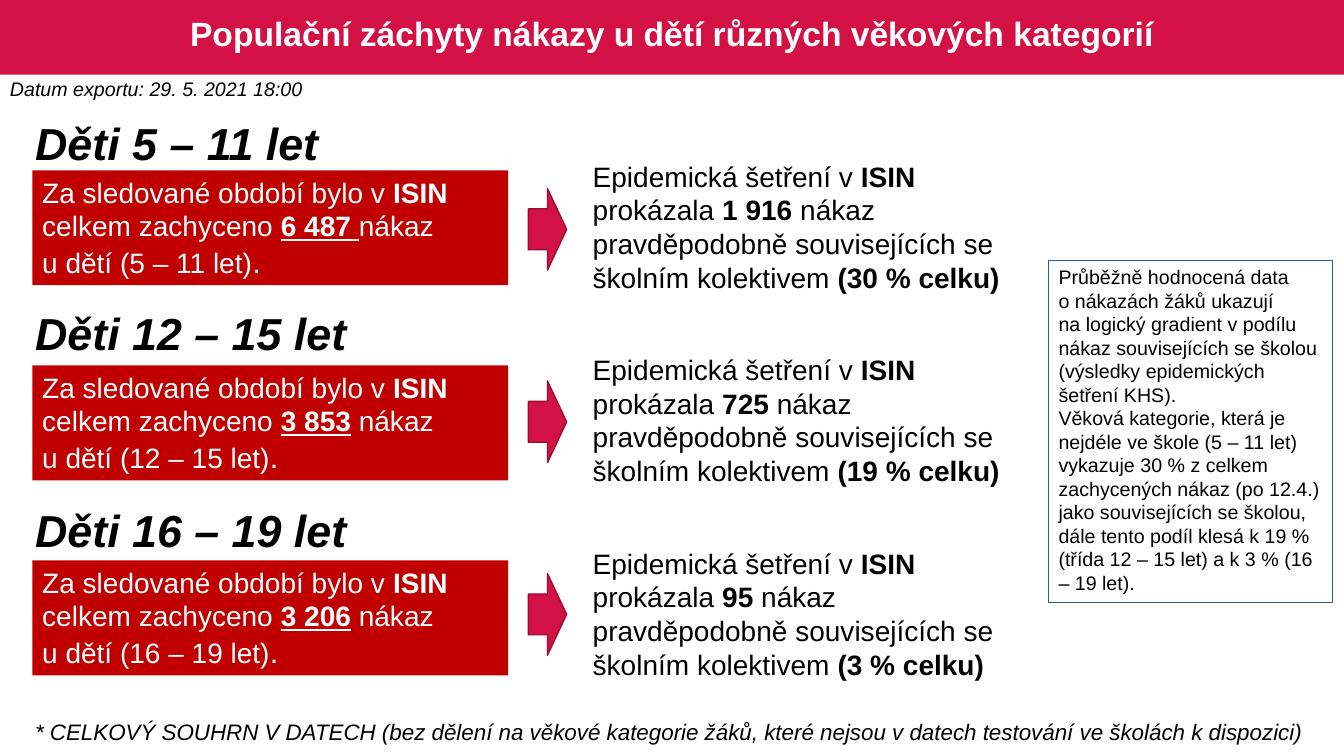
from pptx import Presentation
from pptx.dml.color import RGBColor
from pptx.enum.shapes import MSO_SHAPE
from pptx.enum.text import MSO_ANCHOR, MSO_AUTO_SIZE, PP_ALIGN
from pptx.util import Inches, Pt

RECT, ARROW = MSO_SHAPE.RECTANGLE, MSO_SHAPE.RIGHT_ARROW
MIDDLE = MSO_ANCHOR.MIDDLE
TOP = MSO_ANCHOR.TOP
LEFT, CENTER = PP_ALIGN.LEFT, PP_ALIGN.CENTER
GROW, FIXED = MSO_AUTO_SIZE.SHAPE_TO_FIT_TEXT, MSO_AUTO_SIZE.NONE

CRIMSON = RGBColor(0xD3, 0x11, 0x45)
DARK_CRIMSON = RGBColor(0x9C, 0x0D, 0x33)
RED = RGBColor(0xC0, 0x00, 0x00)
BLUE = RGBColor(0x30, 0x59, 0x83)
BLACK = RGBColor(0x00, 0x00, 0x00)
WHITE = RGBColor(0xFF, 0xFF, 0xFF)

BOLD = {"bold": True}
BOLD_UNDERLINED = {"bold": True, "underline": True}

# Age range, heading top, runs with the number of cases, school cases, share
AGE_GROUPS = [
    ("5 – 11", 1.10, [("6 487 ", BOLD_UNDERLINED), "nákaz"], "1 916", "30 %"),
    ("12 – 15", 2.98, [("3 853", BOLD_UNDERLINED), " nákaz"], "725", "19 %"),
    ("16 – 19", 4.94, [("3 206", BOLD_UNDERLINED), " nákaz"], "95", "3 %"),
]

COMMENT = [
    ["Průběžně hodnocená data"],
    ["o nákazách žáků ukazují"],
    ["na logický gradient v podílu nákaz souvisejících se školou "
     "(výsledky epidemických šetření KHS)."],
    ["Věková kategorie, která je nejdéle ve škole (5 – 11 let) vykazuje 30 % "
     "z celkem zachycených nákaz (po 12.4.) jako souvisejících se školou, "
     "dále tento podíl klesá k 19 % (třída 12 – 15 let) "
     "a k 3 % (16 – 19 let)."],
]


def set_text(shape, paragraphs, size=20, color=BLACK, bold=False, italic=False,
             align=LEFT, anchor=TOP, fit=GROW, wrap=True, line_spacing=None):
    """Write paragraphs of runs; a run is a string or (string, format changes)."""
    tf = shape.text_frame
    tf.word_wrap = wrap
    tf.auto_size = fit
    tf.vertical_anchor = anchor
    for i, runs in enumerate(paragraphs):
        p = tf.add_paragraph() if i else tf.paragraphs[0]
        p.alignment = align
        p.line_spacing = line_spacing
        for run in runs:
            text, changes = (run, {}) if isinstance(run, str) else run
            r = p.add_run()
            r.text = text
            r.font.name = "Arial"
            r.font.size = Pt(changes.get("size", size))
            r.font.color.rgb = color
            r.font.bold = changes.get("bold", bold)
            r.font.italic = italic
            r.font.underline = changes.get("underline", False)


def add_label(s, box, text, **fmt):
    sp = s.shapes.add_textbox(*map(Inches, box))
    set_text(sp, [[text]], italic=True, **fmt)


def add_block(s, kind, box, fill=None, line=None, line_width=1):
    sp = s.shapes.add_shape(kind, *map(Inches, box))
    sp.shadow.inherit = False
    if fill is None:
        sp.fill.background()
    else:
        sp.fill.solid()
        sp.fill.fore_color.rgb = fill
    if line is None:
        sp.line.fill.background()
    else:
        sp.line.color.rgb = line
        sp.line.width = Pt(line_width)
    return sp


def add_title(s, text):
    """Fill the title placeholder and put the crimson band behind it."""
    title = s.shapes.title
    title.left, title.top, title.width, title.height = map(
        Inches, (0.18, 0.04, 12.97, 0.63))
    set_text(title, [[text]], size=24, color=WHITE, bold=True, align=CENTER,
             anchor=MIDDLE, fit=FIXED, line_spacing=0.9)
    band = add_block(s, RECT, (0, 0, 13.33, 0.74), CRIMSON)
    title.element.addprevious(band.element)


def add_age_group(s, row, ages, heading_top, cases, school_cases, share):
    add_label(s, (0.25, heading_top, 3.58, 0.64), f"Děti {ages} let",
              size=32, bold=True)

    total = add_block(s, RECT, (0.32, 1.69 + 1.935 * row, 4.72, 1.14), RED)
    set_text(total, [
        ["Za sledované období bylo v ", ("ISIN", BOLD), " celkem zachyceno ",
         *cases],
        [f"u dětí ({ages} let)", (".", {"size": 22})],
    ], color=WHITE)

    school = add_block(s, RECT, (5.78, 1.53 + 1.92 * row, 4.61, 1.45), WHITE)
    set_text(school, [[
        "Epidemická šetření v ", ("ISIN", BOLD), " prokázala ",
        (f"{school_cases} ", BOLD),
        "nákaz pravděpodobně souvisejících se školním kolektivem ",
        (f"({share} celku)", BOLD),
    ]])

    add_block(s, ARROW, (5.24, 1.87 + 1.91 * row, 0.38, 0.81),
              CRIMSON, DARK_CRIMSON)


def main():
    prs = Presentation()
    prs.slide_width, prs.slide_height = Inches(13.33), Inches(7.5)
    s = prs.slides.add_slide(prs.slide_layouts[5])

    add_title(s, "Populační záchyty nákazy u dětí různých věkových kategorií")
    add_label(s, (0.25, 7.08, 13.23, 0.37),
              "* CELKOVÝ SOUHRN V DATECH (bez dělení na věkové kategorie žáků, "
              "které nejsou v datech testování ve školách k dispozici)", size=16)
    add_label(s, (0, 0.71, 3.12, 0.34), "Datum exportu: 29. 5. 2021 18:00",
              size=14, wrap=False)
    for row, group in enumerate(AGE_GROUPS):
        add_age_group(s, row, *group)
    comment = add_block(s, RECT, (10.4, 2.58, 2.82, 3.4), line=BLUE,
                        line_width=0.75)
    set_text(comment, COMMENT, size=14)

    prs.save("out.pptx")


if __name__ == "__main__":
    main()
